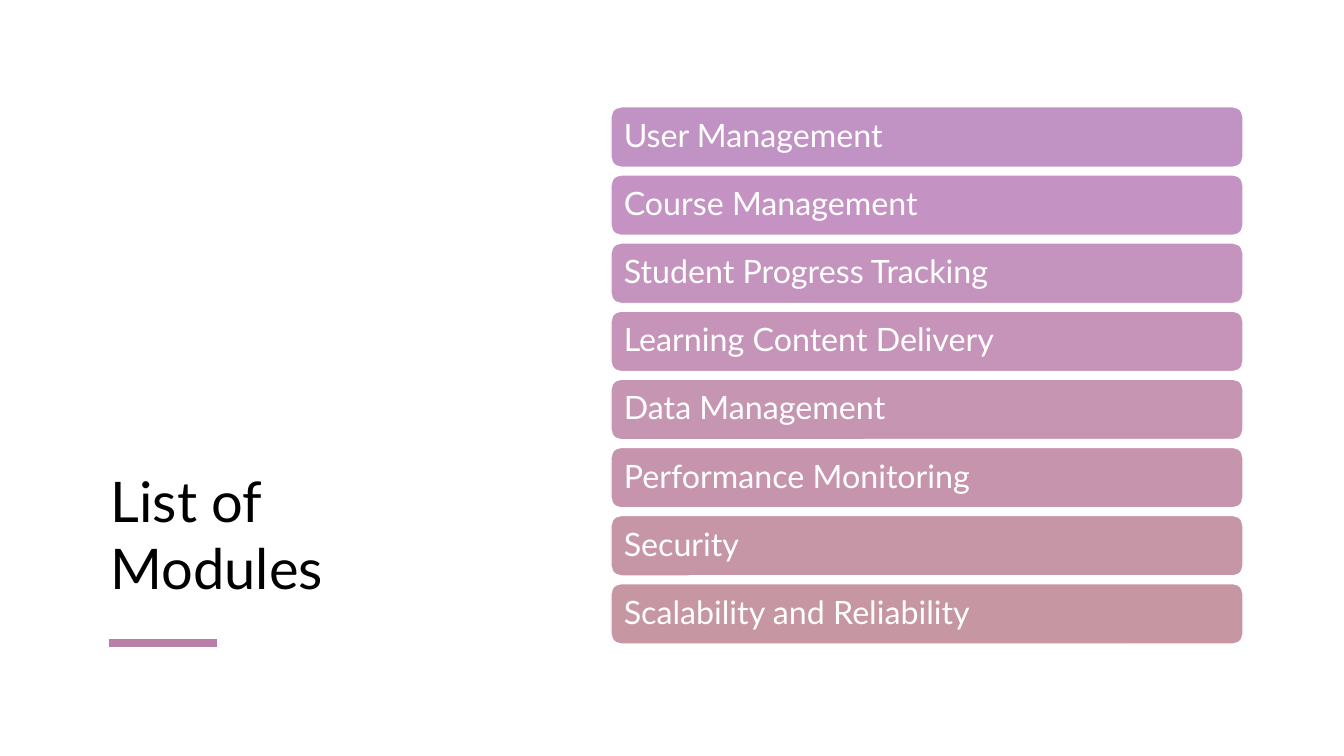
from lxml.etree import SubElement
from pptx import Presentation
from pptx.dml.color import RGBColor
from pptx.enum.shapes import MSO_CONNECTOR as Connector, MSO_SHAPE as Shape
from pptx.enum.text import MSO_ANCHOR as Anchor, PP_ALIGN as Align
from pptx.oxml.ns import qn
from pptx.util import Inches, Pt

MODULES = [
    ("User Management", "C193C5"),
    ("Course Management", "C593C3"),
    ("Student Progress Tracking", "C594BE"),
    ("Learning Content Delivery", "C594B8"),
    ("Data Management", "C695B2"),
    ("Performance Monitoring", "C695AD"),
    ("Security", "C696A7"),
    ("Scalability and Reliability", "C696A2"),
]
BAR_LEFT, BAR_TOP, BAR_WIDTH, BAR_HEIGHT = 45.46, 14.13, 47.03, 8
BAR_PITCH = 9.01


def rgb(hex_code):
    return RGBColor.from_string(hex_code)


def write(frame, text, *, size, color, font, anchor, spacing=1.0,
          left=0.1, right=0.1, vertical=0.05):
    """Fill a text frame with one left-aligned paragraph; insets are inches."""
    frame.word_wrap = True
    frame.vertical_anchor = anchor
    frame.margin_left, frame.margin_right = Inches(left), Inches(right)
    frame.margin_top = frame.margin_bottom = Inches(vertical)
    paragraph = frame.paragraphs[0]
    paragraph.alignment = Align.LEFT
    paragraph.line_spacing = spacing
    run = paragraph.add_run()
    run.text = text
    run.font.name, run.font.size = font, Pt(size)
    run.font.color.rgb = rgb(color)


class ModuleSlide:
    """Draws on one slide; all places are percentages of its size."""
    font = "Lato"
    ink, paper, accent = "000000", "FFFFFF", "BA7FA6"

    def __init__(self, deck):
        self.deck = deck
        self.slide = deck.slides.add_slide(deck.slide_layouts[6])

    def x(self, percent):
        return round(self.deck.slide_width * percent / 100)

    def y(self, percent):
        return round(self.deck.slide_height * percent / 100)

    def box(self, left, top, width, height):
        return self.x(left), self.y(top), self.x(width), self.y(height)

    def title(self, text, *place):
        heading = self.slide.shapes.add_textbox(*self.box(*place))
        write(heading.text_frame, text, size=40, color=self.ink,
              font=self.font, anchor=Anchor.BOTTOM, right=0.3)

    def rule(self, left, right, level):
        accent_rule = self.slide.shapes.add_connector(
            Connector.STRAIGHT, self.x(left), self.y(level),
            self.x(right), self.y(level))
        accent_rule.line.color.rgb = rgb(self.accent)
        accent_rule.line.width = Pt(6)
        SubElement(accent_rule._element.spPr, qn("a:effectLst"))

    def bar(self, text, fill, *place):
        module_bar = self.slide.shapes.add_shape(
            Shape.ROUNDED_RECTANGLE, *self.box(*place))
        module_bar.shadow.inherit = False
        module_bar.fill.solid()
        module_bar.fill.fore_color.rgb = rgb(fill)
        module_bar.line.color.rgb = rgb(self.paper)
        module_bar.line.width = Pt(1)
        write(module_bar.text_frame, text, size=23, color=self.paper,
              font=self.font, anchor=Anchor.MIDDLE, spacing=0.9,
              left=0.1, vertical=0.1)


def main():
    deck = Presentation()
    deck.slide_width, deck.slide_height = Inches(13.33), Inches(7.5)
    page = ModuleSlide(deck)
    page.title("List of Modules", 7.5, 13.33, 29.1, 66.8)
    page.rule(8.1, 16.13, 85.07)
    for row, (module, fill) in enumerate(MODULES):
        page.bar(module, fill, BAR_LEFT, BAR_TOP + row * BAR_PITCH,
                 BAR_WIDTH, BAR_HEIGHT)
    deck.save("out.pptx")


if __name__ == "__main__":
    main()
